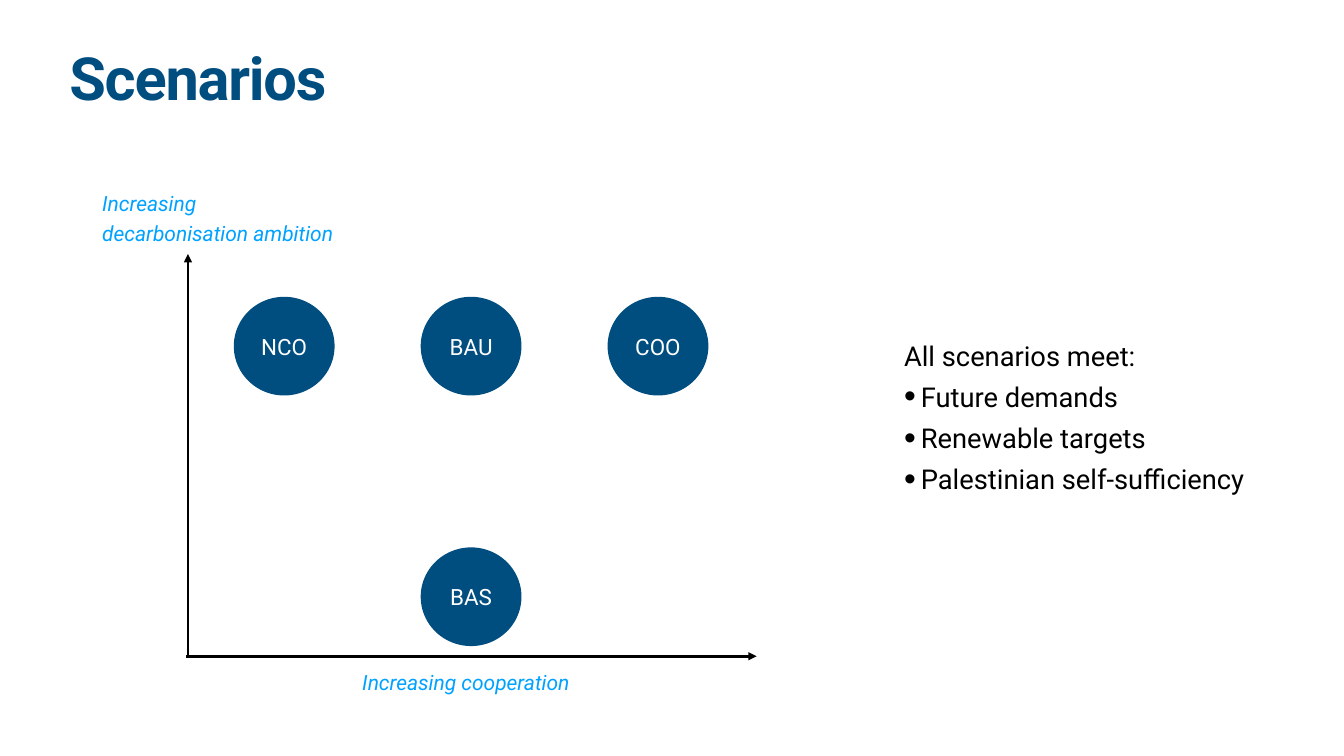
from dataclasses import dataclass

from lxml.etree import SubElement
from pptx import Presentation
from pptx.dml.color import RGBColor
from pptx.enum.shapes import MSO_CONNECTOR as Connector, MSO_SHAPE as Shape
from pptx.enum.text import MSO_ANCHOR as Anchor, MSO_AUTO_SIZE as AutoSize, PP_ALIGN as Align
from pptx.oxml.ns import qn
from pptx.util import Pt


@dataclass(frozen=True)
class Theme:
    font: str = "Roboto"
    navy: RGBColor = RGBColor(0x00, 0x4D, 0x80)
    sky: RGBColor = RGBColor(0x00, 0xA2, 0xFF)
    black: RGBColor = RGBColor(0, 0, 0)
    white: RGBColor = RGBColor(255, 255, 255)
    title_size: int = 85
    list_size: int = 39
    scenario_size: int = 32
    axis_size: int = 30


theme = Theme()


def place(shape, left, top, width, height):
    box = {"left": left, "top": top, "width": width, "height": height}
    for name, value in box.items():
        setattr(shape, name, Pt(value))


def write(shape, lines, size, color, anchor=Anchor.MIDDLE, align=Align.LEFT, gap=0, **style):
    frame = shape.text_frame
    margins = {f"margin_{side}": Pt(4) for side in ("left", "top", "right", "bottom")}
    layout = {"word_wrap": True, "auto_size": AutoSize.NONE, "vertical_anchor": anchor, **margins}
    for name, value in layout.items():
        setattr(frame, name, value)
    frame.text = "\n".join(lines)
    look = {"name": theme.font, "size": Pt(size), **style}
    for index, paragraph in enumerate(frame.paragraphs):
        paragraph.alignment = align
        paragraph.space_before = Pt(gap if index else 0)
        font = paragraph.runs[0].font
        font.color.rgb = color
        for name, value in look.items():
            setattr(font, name, value)
    return frame.paragraphs


deck = Presentation()
deck.slide_width, deck.slide_height = Pt(1920), Pt(1080)
slide = deck.slides.add_slide(deck.slide_layouts[1])
shapes = slide.shapes
title, conditions = slide.placeholders

place(title, 95, 75, 1730, 113)
heading = write(title, ["Scenarios"], theme.title_size, theme.navy, Anchor.TOP, bold=True)[0]
heading.line_spacing = 0.8
heading.runs[0]._r.get_or_add_rPr().set("spc", "-170")

axes = [(266, 937.5, 1081, 937.5), (268.5, 940, 268.5, 363)]
for ends in axes:
    axis = shapes.add_connector(Connector.STRAIGHT, *map(Pt, ends))
    axis.line.width = Pt(4)
    axis.line.color.rgb = theme.black
    SubElement(axis.line._get_or_add_ln(), qn("a:tailEnd"), type="triangle")
    SubElement(axis._element.spPr, qn("a:effectLst"))

axis_labels = [
    (["Increasing cooperation"], (513.5, 952, 320, 46)),
    (["Increasing", "decarbonisation ambition"], (142, 267, 354, 89)),
]
for lines, box in axis_labels:
    label = shapes.add_textbox(0, 0, 0, 0)
    place(label, *box)
    write(label, lines, theme.axis_size, theme.sky, gap=6, italic=True)

first_column, column_step = 334, 267
high_row, low_row = 424, 782
scenarios = [("NCO", 0, high_row), ("BAU", 1, high_row), ("COO", 2, high_row), ("BAS", 1, low_row)]
for code, column, top in scenarios:
    left = first_column + column * column_step
    scenario = shapes.add_shape(Shape.OVAL, Pt(left), Pt(top), Pt(144), Pt(141))
    scenario.shadow.inherit = False
    scenario.fill.solid()
    scenario.fill.fore_color.rgb = theme.navy
    scenario.line.fill.background()
    write(scenario, [code], theme.scenario_size, theme.white, align=Align.CENTER)

place(conditions, 1287.5, 482, 525.5, 227)
requirements = [
    "All scenarios meet:",
    "Future demands",
    "Renewable targets",
    "Palestinian self-sufficiency",
]
intro, *bullets = write(conditions, requirements, theme.list_size, theme.black, gap=12)
intro_format = intro._p.get_or_add_pPr()
intro_format.set("marL", "0")
intro_format.set("indent", "0")
SubElement(intro_format, qn("a:buNone"))
for bullet in bullets:
    bullet_format = bullet._p.get_or_add_pPr()
    bullet_format.set("marL", str(Pt(24)))
    bullet_format.set("indent", str(Pt(-24)))
    SubElement(bullet_format, qn("a:buSzPct"), val="123000")
    SubElement(bullet_format, qn("a:buChar"), char="•")

deck.save("out.pptx")
